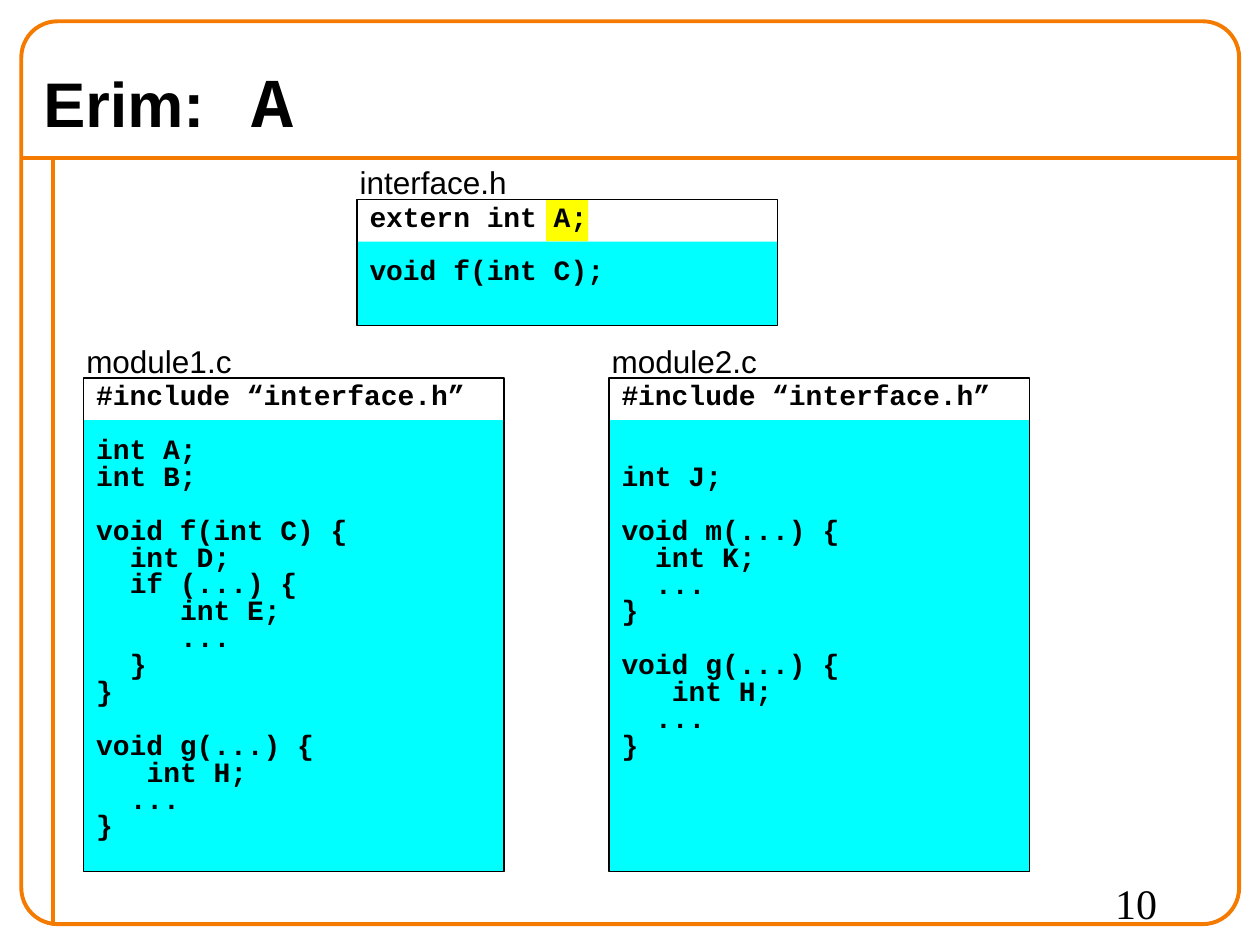
from lxml import etree
from pptx import Presentation, util as u
from pptx.dml.color import RGBColor
from pptx.enum import shapes, text
from pptx.oxml.ns import qn

ORANGE, CYAN, YELLOW, BLACK = "F47A00", "00FFFF", "FFFF00", "000000"
CODE = dict(name="Courier New", size=u.Pt(16), bold=True)
LABEL = dict(name="Arial", size=u.Pt(18))
NUMBER = dict(name="Times New Roman", size=u.Pt(24))
LINE_SPACING = 0.8
LINE_PT, CHAR_PT = 15.4, 9.6  # height of a code line, width of a code character
BOX_W, HEADER_H = 8.47, 0.85

INTERFACE = """extern int A;

void f(int C);"""
MODULE_1 = """#include “interface.h”

int A;
int B;

void f(int C) {
  int D;
  if (...) {
     int E;
     ...
  }
}

void g(...) {
   int H;
  ...
}"""
MODULE_2 = """#include “interface.h”


int J;

void m(...) {
  int K;
  ...
}

void g(...) {
   int H;
  ...
}"""


def rgb(color):
    return RGBColor.from_string(color)


def add_run(p, words, font):
    r = p.add_run()
    r.text = words
    for key, value in font.items():
        setattr(r.font, key, value)
    r.font.color.rgb = rgb(BLACK)


def add_box(s, place, fill=None, line=None, width=0.75, kind="RECTANGLE"):
    sp = s.shapes.add_shape(shapes.MSO_SHAPE[kind], *map(u.Cm, place))
    sp.shadow.inherit = False
    if fill:
        sp.fill.solid()
        sp.fill.fore_color.rgb = rgb(fill)
    else:
        sp.fill.background()
    if line:
        sp.line.color.rgb = rgb(line)
        sp.line.width = u.Pt(width)
    else:
        sp.line.fill.background()
    return sp


def add_line(s, *ends):
    line = s.shapes.add_connector(shapes.MSO_CONNECTOR.STRAIGHT, *map(u.Cm, ends))
    line.line.color.rgb = rgb(ORANGE)
    line.line.width = u.Pt(2.25)
    etree.SubElement(line._element.spPr, qn("a:effectLst"))


def add_text(s, place, words, font):
    tf = s.shapes.add_textbox(*map(u.Cm, place)).text_frame
    tf.word_wrap = True
    add_run(tf.paragraphs[0], words, font)


def write_code(tf, code):
    """Turn empty lines into space before, and leading spaces into indents."""
    tf.word_wrap = True
    tf.vertical_anchor = text.MSO_ANCHOR.TOP
    p, empty = tf.paragraphs[0], 0
    for number, line in enumerate(code.splitlines()):
        words = line.lstrip()
        if not words:
            empty += 1
            continue
        if number:
            p = tf.add_paragraph()
        p.alignment = text.PP_ALIGN.LEFT
        p.line_spacing = LINE_SPACING
        p.space_before = u.Pt(empty * LINE_PT)
        indent = u.Pt((len(line) - len(words)) * CHAR_PT)
        p._p.get_or_add_pPr().set("marL", str(indent))
        add_run(p, words, CODE)
        empty = 0


def add_file(s, name, code, left, top, height):
    """A named source file: white first line, cyan body, black outline."""
    add_box(s, (left, top + HEADER_H, BOX_W, height - HEADER_H), fill=CYAN)
    outline = add_box(s, (left, top, BOX_W, height), line=BLACK)
    write_code(outline.text_frame, code)
    add_text(s, (left - 0.2, top - HEADER_H, 3.8, 1.02), name, LABEL)


def add_frame(s):
    add_line(s, 0.43, 3.18, 24.97, 3.18)
    add_line(s, 1.06, 3.18, 1.06, 18.62)
    frame = add_box(s, (0.43, 0.43, 24.55, 18.2), line=ORANGE, width=2.25,
                    kind="ROUNDED_RECTANGLE")
    frame.adjustments[0] = 0.04


def add_title(s):
    title = s.shapes.title
    place = dict(left=0.62, top=1.02, width=23.7, height=1.96)
    for key, value in place.items():
        setattr(title, key, u.Cm(value))
    title.text_frame.vertical_anchor = text.MSO_ANCHOR.MIDDLE
    p = title.text_frame.paragraphs[0]
    p.alignment = text.PP_ALIGN.LEFT
    tabs = etree.SubElement(p._p.get_or_add_pPr(), qn("a:tabLst"))
    etree.SubElement(tabs, qn("a:tab"), pos=str(u.Cm(4.19)), algn="l")
    add_run(p, "Erim:\t", dict(name="Arial", size=u.Pt(36), bold=True))
    add_run(p, "A", dict(name="Courier New", size=u.Pt(40), bold=True))


def main():
    prs = Presentation()
    prs.slide_width, prs.slide_height = u.Cm(25.4), u.Cm(19.05)
    s = prs.slides.add_slide(prs.slide_layouts[5])
    add_frame(s)
    add_title(s)
    add_box(s, (11.01, 4.02, HEADER_H, HEADER_H), fill=YELLOW)
    add_file(s, "interface.h", INTERFACE, 7.2, 4.02, 2.54)
    add_file(s, "module1.c", MODULE_1, 1.69, 7.62, 9.95)
    add_file(s, "module2.c", MODULE_2, 12.28, 7.62, 9.95)
    add_text(s, (22.23, 17.57, 2.54, 1.27), "10", NUMBER)
    prs.save("out.pptx")


if __name__ == "__main__":
    main()
